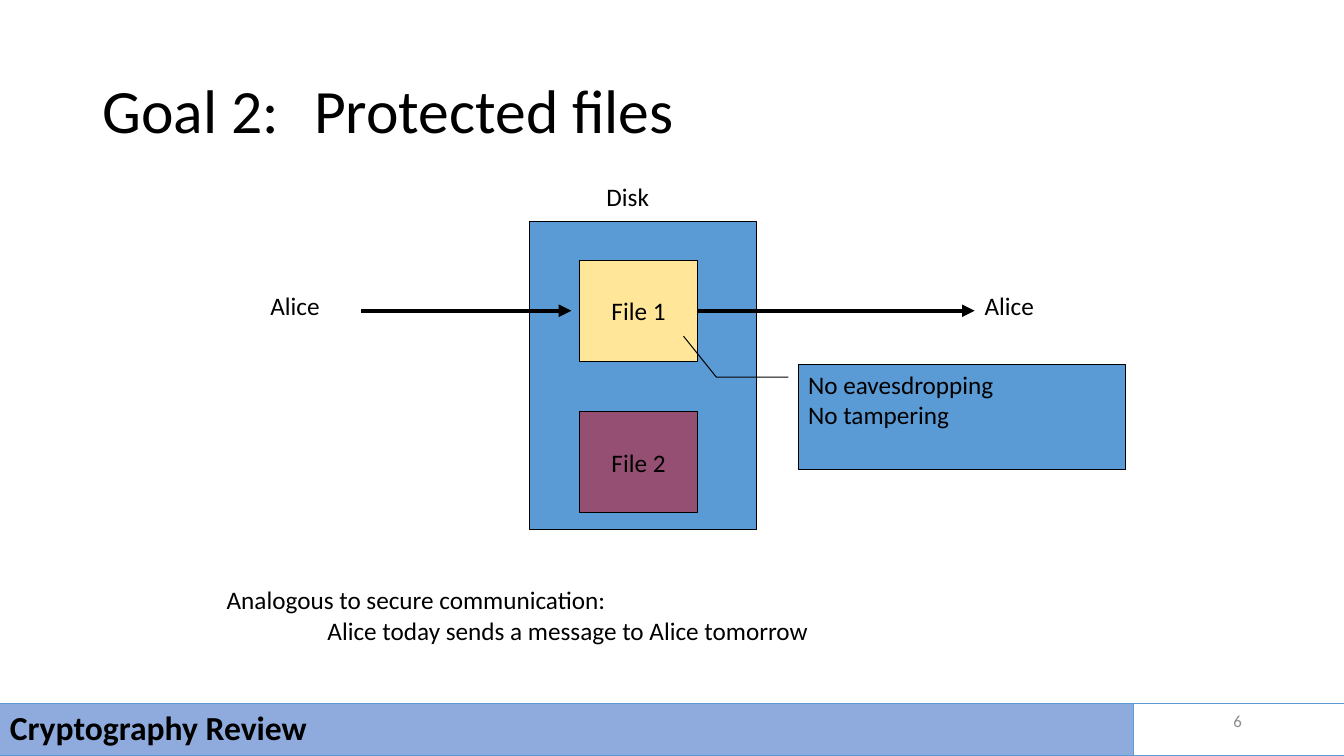
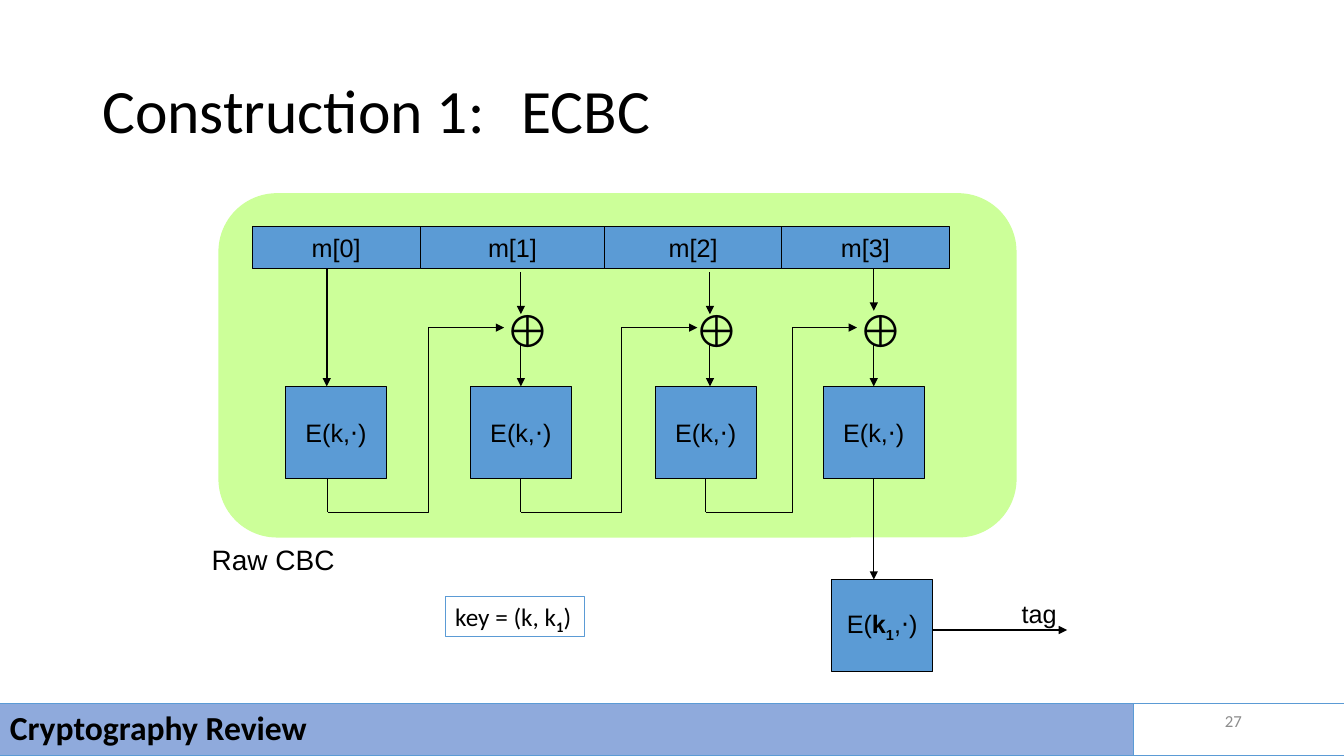
"""Build two cryptography slides on a grid of 160 columns by 90 rows."""
import dataclasses

import lxml.etree
import pptx
import pptx.dml.color
import pptx.enum.shapes
import pptx.enum.text
import pptx.oxml.ns
import pptx.util


@dataclasses.dataclass(frozen=True)
class Theme:
    black: str = "000000"
    blue: str = "5B9BD5"
    band: str = "8FAADC"
    lime: str = "CCFF99"
    sand: str = "FFE699"
    plum: str = "954F72"
    gray: str = "8C8C8C"
    sans: str = "Calibri"
    plain: str = "Arial"
    title: int = 44
    sign: int = 32
    foot: int = 24
    large: int = 20
    body: int = 18
    small: int = 12
    thin: float = 0.75
    thick: float = 3


theme = Theme()
rgb = pptx.dml.color.RGBColor.from_string
forms = pptx.enum.shapes.MSO_SHAPE
top = pptx.enum.text.MSO_ANCHOR.TOP
mid = pptx.enum.text.MSO_ANCHOR.MIDDLE
left = pptx.enum.text.PP_ALIGN.LEFT
center = pptx.enum.text.PP_ALIGN.CENTER
right = pptx.enum.text.PP_ALIGN.RIGHT
qn = pptx.oxml.ns.qn

deck = pptx.Presentation()
deck.slide_width = pptx.util.Inches(13.33)
deck.slide_height = pptx.util.Inches(7.5)
cell = deck.slide_height / 90


def put(slide, box, *lines, form=None, fill=None, edge=theme.black, size=theme.body,
        font=theme.sans, color=theme.black, bold=False, anchor=top, align=left,
        wrap=True, pitch=None):
    """Place a text box, or a preset shape, whose lines are lists of (text, marks)."""
    area = [round(side * cell) for side in box]
    if form is None:
        shape = slide.shapes.add_textbox(*area)
    else:
        shape = slide.shapes.add_shape(form, *area)
        shape.shadow.inherit = False
        if fill:
            shape.fill.solid()
            shape.fill.fore_color.rgb = rgb(fill)
        else:
            shape.fill.background()
        if edge:
            shape.line.color.rgb = rgb(edge)
            shape.line.width = pptx.util.Pt(theme.thin)
        else:
            shape.line.fill.background()
    frame = shape.text_frame
    frame.word_wrap = wrap
    frame.vertical_anchor = anchor
    for n, line in enumerate(lines):
        para = frame.add_paragraph() if n else frame.paragraphs[0]
        para.alignment = align
        if pitch:
            para.line_spacing = pitch
        for text, marks in [(line, "")] if isinstance(line, str) else line:
            run = para.add_run()
            run.text = text
            run.font.name = font
            run.font.size = pptx.util.Pt(size)
            run.font.color.rgb = rgb(color)
            run.font.bold = bold or "b" in marks
            if "sub" in marks.split():
                run.font._element.set("baseline", "-25000")
    return shape


def link(slide, *spots, head=True, width=theme.thin, start=None, end=None):
    """Draw a line through the spots, joined to (shape, side) pairs if given."""
    spots = [(round(x * cell), round(y * cell)) for x, y in spots]
    if len(spots) == 2:
        kind = pptx.enum.shapes.MSO_CONNECTOR.STRAIGHT
        line = slide.shapes.add_connector(kind, *spots[0], *spots[1])
        if start:
            line.begin_connect(*start)
        if end:
            line.end_connect(*end)
        lxml.etree.SubElement(line._element.spPr, qn("a:effectLst"))
    else:
        draft = slide.shapes.build_freeform(*spots[0], scale=1.0)
        draft.add_line_segments(spots[1:], close=False)
        line = draft.convert_to_shape()
        line.fill.background()
        line.shadow.inherit = False
    line.line.color.rgb = rgb(theme.black)
    line.line.width = pptx.util.Pt(width)
    if head:
        tip = lxml.etree.SubElement(line.line._get_or_add_ln(), qn("a:tailEnd"))
        tip.set("type", "triangle")


slides = []
for title, stop, page in (("Goal 2:\tProtected files", 25.2, "6"),
                          ("Construction 1:\tECBC", 49.9, "27")):
    slide = deck.slides.add_slide(deck.slide_layouts[6])
    name = put(slide, (11, 4.8, 138, 17.4), title, size=theme.title, anchor=mid, pitch=0.9)
    tabs = lxml.etree.SubElement(name.text_frame.paragraphs[0]._p.get_or_add_pPr(), qn("a:tabLst"))
    lxml.etree.SubElement(tabs, qn("a:tab"), pos=str(round(stop * cell)), algn="l")
    put(slide, (0, 83.8, 134.9, 6.2), "Cryptography Review", form=forms.RECTANGLE,
        fill=theme.band, edge=theme.blue, size=theme.foot, bold=True, anchor=mid, pitch=0.9)
    put(slide, (134.9, 83.8, 25.1, 6.2), form=forms.RECTANGLE, edge=theme.blue)
    put(slide, (113, 83.4, 36, 4.8), page, size=theme.small, color=theme.gray,
        anchor=mid, align=right)
    slides.append(slide)
files, chain = slides

put(files, (63, 26.4, 27, 36.6), form=forms.RECTANGLE, fill=theme.blue)
put(files, (71, 21, 10.3, 4.8), "Disk")
first, second = [
    put(files, (69, 31 + 18 * n, 14, 12), f"File {n + 1}", form=forms.RECTANGLE,
        fill=fill, anchor=mid, align=center, wrap=False)
    for n, fill in enumerate((theme.sand, theme.plum))]
link(files, (43, 37), (68, 37), width=theme.thick)
link(files, (83, 37), (116, 37), width=theme.thick, start=(first, 3))
for x in (31, 116):
    put(files, (x, 34, 11.2, 4.8), "Alice")
note = put(files, (95, 43.4, 39, 12.5), "No eavesdropping", "No tampering",
           form=forms.LINE_CALLOUT_2, fill=theme.blue)
for n, bend in enumerate((0.12, -0.03, 0.12, -0.25, -0.27, -0.35)):
    note.adjustments[n] = bend
claim = put(files, (25.8, 69, 111.4, 8.5), "Analogous to secure communication:",
            "Alice today sends a message to Alice tomorrow")
claim.text_frame.paragraphs[1]._p.get_or_add_pPr().set("marL", str(round(12 * cell)))

block = dict(form=forms.RECTANGLE, fill=theme.blue, font=theme.plain,
             anchor=mid, align=center, wrap=False)
label = dict(font=theme.plain, wrap=False)
zone = put(chain, (26, 23, 95, 41), form=forms.ROUNDED_RECTANGLE, fill=theme.lime, edge=None)
zone.adjustments[0] = 0.17
put(chain, (24, 64, 17.3, 5.3), "Raw CBC", size=theme.large, **label)

edges = (30, 50, 72, 93, 113)
for n, (x, far) in enumerate(zip(edges, edges[1:])):
    put(chain, (x, 27, far - x, 5), f"m[{n}]", **block)
codes = [put(chain, (x, 46, 12, 11), "E(k,⋅)", **block) for x in (34, 56, 78, 98)]

link(chain, (38.9, 32), (38.9, 46), width=1)
for x, sign, drop, code in ((62, 59, 32.4, codes[1]), (84.5, 81.5, 32.4, None),
                            (104, 101, 32, codes[3])):
    put(chain, (sign, 35.4, 6.5, 7.6), "⊕", size=theme.sign, **label)
    link(chain, (x, drop), (x, drop + 5))
    link(chain, (x, 41), (x, 46), end=(code, 0) if code else None)
for x, turn, end, code in ((39, 51, 60, None), (62, 74, 83, codes[1]),
                           (84, 94.3, 102, codes[2])):
    link(chain, (x, 57), (x, 61), head=False, start=(code, 2) if code else None)
    link(chain, (x, 61), (turn, 61), (turn, 39), (end, 39))

link(chain, (104, 57), (104, 69), start=(codes[3], 2))
put(chain, (99, 69, 12, 11), [("E(", ""), ("k", "b"), ("1", "b sub"), (",⋅)", "")], **block)
link(chain, (111, 75), (127, 75))
put(chain, (120.4, 70.6, 6.6, 4.8), "tag", **label)
put(chain, (53, 71, 16.6, 4.8), [("key = (k, k", ""), ("1", "sub"), (")", "")],
    form=forms.RECTANGLE, edge=theme.blue, wrap=False)

deck.save("out.pptx")
